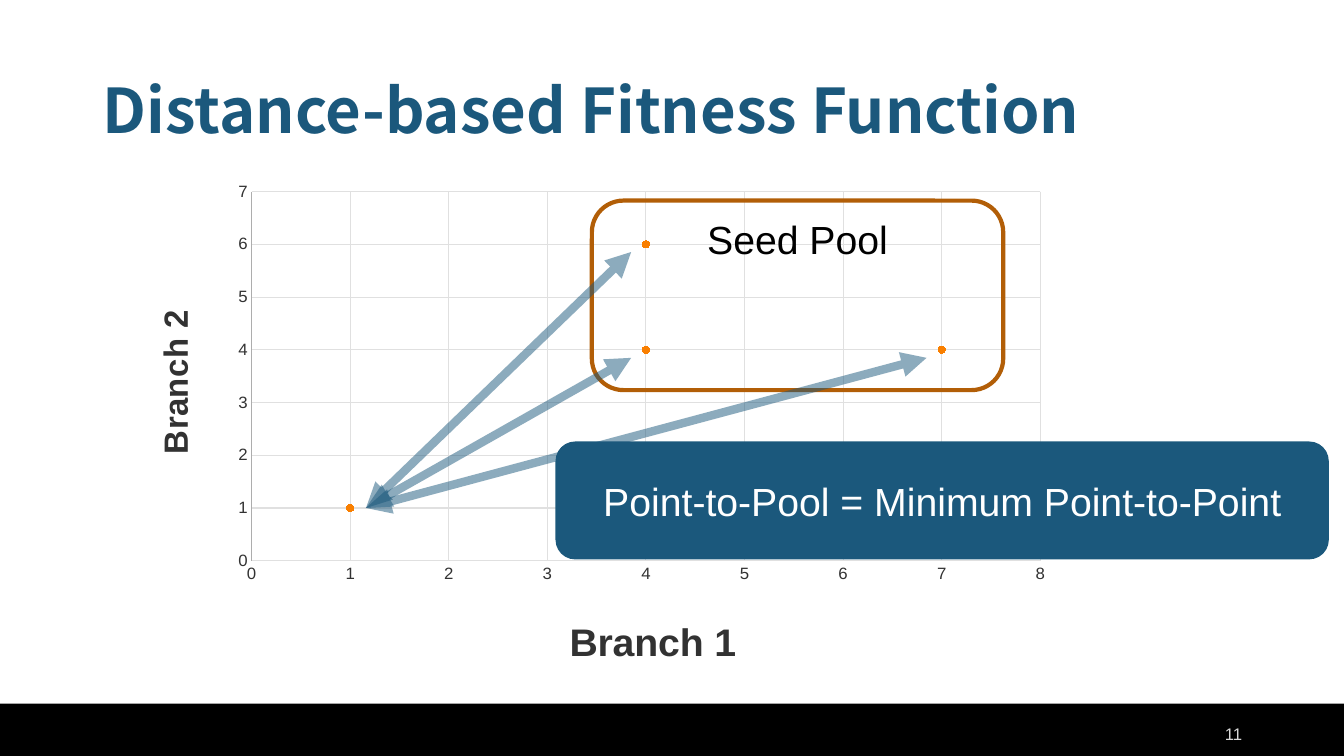
from dataclasses import dataclass

from pptx import Presentation
from pptx.chart.axis import ValueAxis
from pptx.chart.chart import Chart
from pptx.chart.data import XyChartData
from pptx.dml.color import RGBColor
from pptx.enum.chart import XL_CHART_TYPE, XL_MARKER_STYLE, XL_TICK_MARK
from pptx.enum.shapes import MSO_CONNECTOR, MSO_SHAPE
from pptx.enum.text import MSO_ANCHOR, PP_ALIGN
from pptx.oxml import parse_xml
from pptx.oxml.ns import nsdecls, qn
from pptx.slide import Slide
from pptx.text.text import TextFrame
from pptx.util import Inches, Pt

SCATTER = XL_CHART_TYPE.XY_SCATTER
CIRCLE = XL_MARKER_STYLE.CIRCLE
NO_TICK = XL_TICK_MARK.NONE
STRAIGHT = MSO_CONNECTOR.STRAIGHT
RECTANGLE = MSO_SHAPE.RECTANGLE
ROUNDED = MSO_SHAPE.ROUNDED_RECTANGLE
TOP, MIDDLE = MSO_ANCHOR.TOP, MSO_ANCHOR.MIDDLE
LEFT, CENTER, RIGHT = PP_ALIGN.LEFT, PP_ALIGN.CENTER, PP_ALIGN.RIGHT

COLORS = {
    "blue": "1B587C", "orange": "F97F00", "brown": "B25E07",
    "black": "000000", "white": "FFFFFF", "axis_text": "323232",
    "grid": "E0E0E0", "value_line": "ADADAD", "number": "D9D9D9",
}
BODY_FONT = "Arial"
TITLE_FONT = "Noto Sans CJK KR"
TITLE_ONLY_LAYOUT = 5


@dataclass
class Box:
    left: float
    top: float
    width: float
    height: float
    kind: MSO_SHAPE = ROUNDED
    fill: str = ""
    line: str = ""
    text: str = ""
    text_color: str = "black"
    anchor: MSO_ANCHOR = MIDDLE


@dataclass
class AxisStyle:
    title: str
    title_size: int
    title_x: float
    title_y: float
    maximum: int
    line: str
    rotation: int


BOXES = [
    Box(5.87, 1.99, 4.08, 1.88, line="brown", text="Seed Pool", anchor=TOP),
    Box(5.51, 4.38, 7.67, 1.17, fill="blue", text_color="white",
        text="Point-to-Pool = Minimum Point-to-Point"),
]
FOOTER_BAR = Box(0, 6.98, 13.33, 0.52, kind=RECTANGLE, fill="black")
HORIZONTAL = AxisStyle("Branch 1", 28, 0.46, 0.89, 8, "grid", 0)
VERTICAL = AxisStyle("Branch 2", 24, 0.01, 0.27, 7, "value_line", -90)
POINTS = [(1, 1), (4, 4), (4, 6), (7, 4)]
ARROW_START = (3.63, 5.04)
ARROW_ENDS = [(6.26, 2.5), (6.26, 3.55), (9.19, 3.55)]


def color(name: str) -> RGBColor:
    return RGBColor.from_string(COLORS[name])


def write(frame: TextFrame, text: str, size: int, color_name: str,
          align: PP_ALIGN, anchor: MSO_ANCHOR = MIDDLE,
          font: str = BODY_FONT, bold: bool = False) -> None:
    frame.word_wrap = True
    frame.vertical_anchor = anchor
    paragraph = frame.paragraphs[0]
    paragraph.alignment = align
    run = paragraph.add_run()
    run.text = text
    run.font.name = font
    run.font.size = Pt(size)
    run.font.bold = bold
    run.font.color.rgb = color(color_name)


def add_box(slide: Slide, box: Box) -> None:
    shape = slide.shapes.add_shape(box.kind, Inches(box.left), Inches(box.top),
                                   Inches(box.width), Inches(box.height))
    shape.shadow.inherit = False
    if box.fill:
        shape.fill.solid()
        shape.fill.fore_color.rgb = color(box.fill)
    else:
        shape.fill.background()
    if box.line:
        shape.line.color.rgb = color(box.line)
        shape.line.width = Pt(3)
    else:
        shape.line.fill.background()
    if box.text:
        write(shape.text_frame, box.text, 28, box.text_color, CENTER, box.anchor)


def set_layout(parent, index: int, values: dict[str, float], inner: bool = False) -> None:
    """Give a chart part a fixed place, in fractions of the chart."""
    for old in parent.findall(qn("c:layout")):
        parent.remove(old)
    target = '<c:layoutTarget val="inner"/>' if inner else ""
    modes = '<c:xMode val="edge"/><c:yMode val="edge"/>'
    sizes = "".join(f'<c:{key} val="{value}"/>' for key, value in values.items())
    parent.insert(index, parse_xml(
        f'<c:layout {nsdecls("c")}><c:manualLayout>{target}{modes}{sizes}'
        "</c:manualLayout></c:layout>"))


def style_axis(axis: ValueAxis, style: AxisStyle) -> None:
    axis.minimum_scale, axis.maximum_scale = 0, style.maximum
    axis.major_unit = 1
    axis.major_tick_mark = axis.minor_tick_mark = NO_TICK
    axis.has_major_gridlines = True
    for line, name in ((axis.format.line, style.line),
                       (axis.major_gridlines.format.line, "grid")):
        line.color.rgb = color(name)
        line.width = Pt(0.75)
    font = axis.tick_labels.font
    font.name, font.size = BODY_FONT, Pt(12)
    font.color.rgb = color("axis_text")
    frame = axis.axis_title.text_frame
    write(frame, style.title, style.title_size, "axis_text", CENTER, bold=True)
    body = axis.axis_title.element.find(".//" + qn("a:bodyPr"))
    body.set("rot", str(style.rotation * 60000))
    body.set("vert", "horz")
    set_layout(axis.axis_title.element, 1, {"x": style.title_x, "y": style.title_y})


def add_scatter(slide: Slide) -> Chart:
    data = XyChartData()
    points = data.add_series("Series 1")
    for x, y in POINTS:
        points.add_data_point(x, y)
    chart = slide.shapes.add_chart(SCATTER, Inches(1.37), Inches(1.74),
                                   Inches(9.15), Inches(4.97), data).chart
    chart.has_legend = chart.has_title = False
    chart.font.name, chart.font.size = BODY_FONT, Pt(10)
    chart.font.color.rgb = color("black")
    plot = chart.plots[0]
    plot.vary_by_categories = False
    series = plot.series[0]
    series.format.line.fill.background()
    series.marker.style, series.marker.size = CIRCLE, 5
    series.marker.format.fill.solid()
    series.marker.format.fill.fore_color.rgb = color("orange")
    series.marker.format.line.color.rgb = color("orange")
    style_axis(chart.category_axis, HORIZONTAL)
    style_axis(chart.value_axis, VERTICAL)
    set_layout(chart.element.find(".//" + qn("c:plotArea")), 0,
               {"x": 0.123, "y": 0.033, "w": 0.855, "h": 0.754}, inner=True)
    return chart


def add_arrow(slide: Slide, end: tuple[float, float]) -> None:
    connector = slide.shapes.add_connector(
        STRAIGHT, *(Inches(value) for value in ARROW_START + end))
    connector.line.color.rgb = color("blue")
    connector.line.width = Pt(6)
    properties = connector.element.spPr
    line = properties.find(qn("a:ln"))
    line.find(".//" + qn("a:srgbClr")).append(
        parse_xml(f'<a:alpha {nsdecls("a")} val="50000"/>'))
    for tag in ("headEnd", "tailEnd"):
        line.append(parse_xml(f'<a:{tag} {nsdecls("a")} type="triangle"/>'))
    properties.append(parse_xml(f'<a:effectLst {nsdecls("a")}/>'))


def main() -> None:
    presentation = Presentation()
    presentation.slide_width, presentation.slide_height = Inches(13.33), Inches(7.5)
    slide = presentation.slides.add_slide(presentation.slide_layouts[TITLE_ONLY_LAYOUT])

    # Title
    title = slide.shapes.title
    title.left, title.top = Inches(0.92), Inches(0.4)
    title.width, title.height = Inches(11.5), Inches(1.45)
    write(title.text_frame, "Distance-based Fitness Function", 44, "blue", LEFT,
          font=TITLE_FONT, bold=True)
    title.text_frame.paragraphs[0].line_spacing = 0.9

    # Footer bar and slide number
    add_box(slide, FOOTER_BAR)
    number = slide.shapes.add_textbox(Inches(9.42), Inches(7.08), Inches(3), Inches(0.4))
    write(number.text_frame, "11", 12, "number", RIGHT)

    # Scatter chart with the pool, the message and the distances
    add_scatter(slide)
    for box in BOXES:
        add_box(slide, box)
    for end in ARROW_ENDS:
        add_arrow(slide, end)

    presentation.save("out.pptx")


if __name__ == "__main__":
    main()
